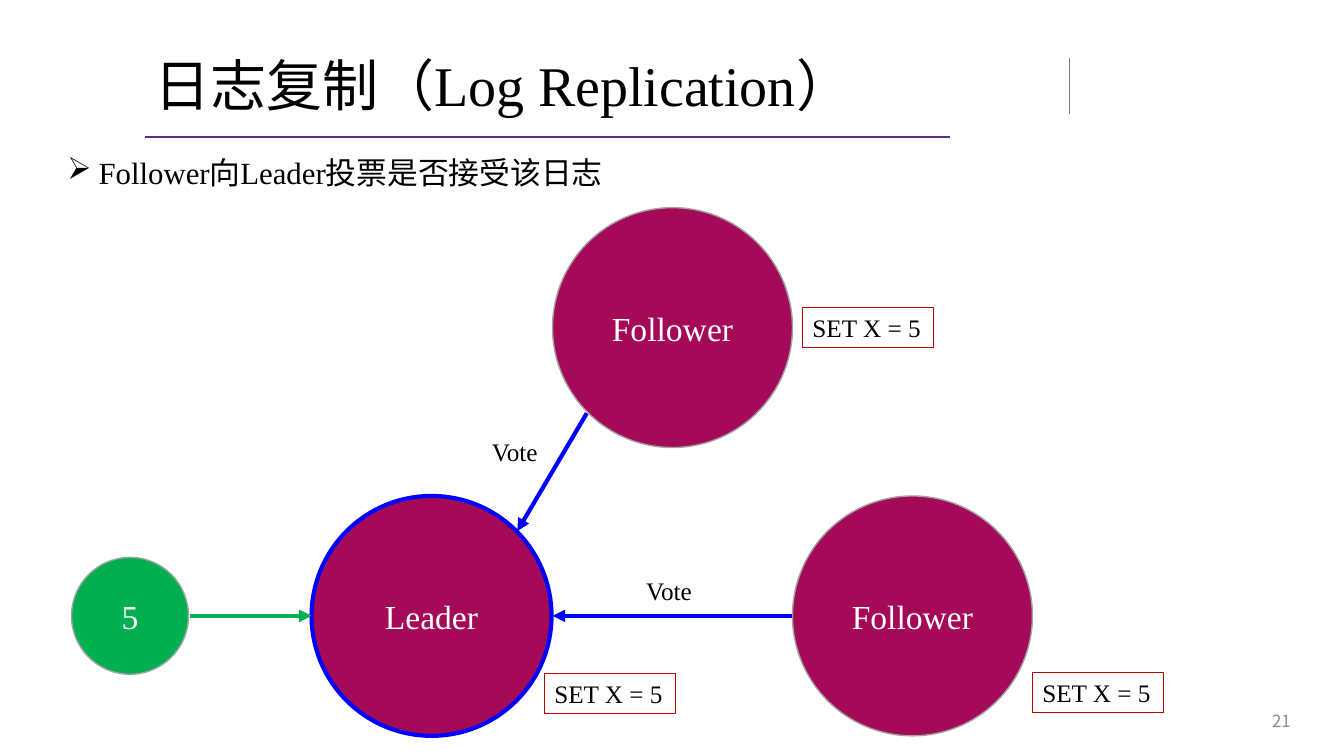
from dataclasses import dataclass

from lxml import etree
from pptx import Presentation
from pptx.dml.color import RGBColor
from pptx.enum.shapes import MSO_CONNECTOR, MSO_SHAPE
from pptx.enum.text import MSO_ANCHOR, MSO_AUTO_SIZE, PP_ALIGN
from pptx.oxml.ns import qn
from pptx.util import Inches, Pt

STRAIGHT = MSO_CONNECTOR.STRAIGHT
OVAL = MSO_SHAPE.OVAL
RECTANGLE = MSO_SHAPE.RECTANGLE
MIDDLE = MSO_ANCHOR.MIDDLE
LEFT, CENTER, RIGHT = PP_ALIGN.LEFT, PP_ALIGN.CENTER, PP_ALIGN.RIGHT
NO_AUTOFIT = MSO_AUTO_SIZE.NONE
TITLE_ONLY = 5


@dataclass(frozen=True)
class Theme:
    font: str = "Times New Roman"
    number_font: str = "Noto Sans CJK SC"
    text: str = "000000"
    light: str = "FFFFFF"
    node: str = "A40A57"
    value: str = "00B050"
    outline: str = "A3A3A3"
    vote: str = "0000FF"
    entry: str = "C00000"
    underline: str = "5C307E"
    divider: str = "808080"
    number: str = "8C8C8C"
    title_size: int = 40
    node_size: int = 24
    body_size: int = 22
    label_size: int = 18
    number_size: int = 12


THEME = Theme()
NODE_SIZE = 2.38
VALUE_SIZE = 1.16
ROW_CENTER = 6.11


def color(value):
    return RGBColor.from_string(value)


def write(shape, text, size, font_color=THEME.text, align=LEFT, font=THEME.font):
    paragraph = shape.text_frame.paragraphs[0]
    paragraph.text = text
    paragraph.alignment = align
    paragraph.font.name = font
    paragraph.font.size = Pt(size)
    paragraph.font.color.rgb = color(font_color)
    return paragraph


def add_title(slide, text):
    title = slide.shapes.title
    title.left, title.top = Inches(1.43), Inches(0.4)
    title.width, title.height = Inches(8.99), Inches(0.96)
    title.text_frame.auto_size = NO_AUTOFIT
    title.text_frame.vertical_anchor = MIDDLE
    paragraph = write(title, text, THEME.title_size)
    paragraph.line_spacing = 0.9


def add_text(slide, text, left, top, width, height, size=THEME.label_size, **style):
    box = slide.shapes.add_textbox(
        Inches(left), Inches(top), Inches(width), Inches(height)
    )
    box.text_frame.word_wrap = True
    write(box, text, size, **style)
    return box


def add_bullet(slide, text):
    box = add_text(slide, "", 0.57, 1.48, 5.61, 0.47)
    properties = box.text_frame.paragraphs[0]._p.get_or_add_pPr()
    properties.set("marL", str(Inches(0.31)))
    properties.set("indent", str(Inches(-0.31)))
    bullet = etree.Element(qn("a:buChar"), char="➢")
    properties.insert_element_before(bullet, "a:tabLst", "a:defRPr", "a:extLst")
    write(box, text, THEME.body_size)


def add_circle(slide, text, center_x, center_y, size=NODE_SIZE, fill=THEME.node,
               outline=THEME.outline, weight=1):
    circle = slide.shapes.add_shape(
        OVAL, Inches(center_x - size / 2), Inches(center_y - size / 2),
        Inches(size), Inches(size)
    )
    circle.shadow.inherit = False
    circle.fill.solid()
    circle.fill.fore_color.rgb = color(fill)
    circle.line.color.rgb = color(outline)
    circle.line.width = Pt(weight)
    circle.text_frame.vertical_anchor = MIDDLE
    write(circle, text, THEME.node_size, THEME.light, CENTER)


def add_log_entry(slide, left, top):
    entry = slide.shapes.add_shape(
        RECTANGLE, Inches(left), Inches(top), Inches(1.3), Inches(0.4)
    )
    entry.shadow.inherit = False
    entry.fill.background()
    entry.line.color.rgb = color(THEME.entry)
    entry.line.width = Pt(0.75)
    entry.text_frame.word_wrap = False
    entry.text_frame.vertical_anchor = MIDDLE
    write(entry, "SET X = 5", THEME.label_size)


def add_line(slide, start, end, line_color, weight, arrow=False):
    connector = slide.shapes.add_connector(
        STRAIGHT, *(Inches(value) for value in (*start, *end))
    )
    connector.line.color.rgb = color(line_color)
    connector.line.width = Pt(weight)
    if arrow:
        line = connector.line._get_or_add_ln()
        etree.SubElement(line, qn("a:tailEnd"), type="triangle")
    etree.SubElement(connector._element.spPr, qn("a:effectLst"))


def main():
    presentation = Presentation()
    presentation.slide_width = Inches(13.33)
    presentation.slide_height = Inches(7.5)
    slide = presentation.slides.add_slide(presentation.slide_layouts[TITLE_ONLY])

    add_line(slide, (1.44, 1.36), (9.42, 1.36), THEME.underline, 1.5)
    add_line(slide, (10.61, 0.58), (10.61, 1.13), THEME.divider, 1)
    add_title(slide, "日志复制（Log Replication）")
    number = add_text(slide, "21", 9.9, 6.95, 3, 0.4, THEME.number_size,
                      font_color=THEME.number, align=RIGHT, font=THEME.number_font)
    number.text_frame.vertical_anchor = MIDDLE

    add_circle(slide, "Follower", 6.67, 3.25)
    add_circle(slide, "Follower", 9.05, ROW_CENTER)
    add_circle(slide, "Leader", 4.28, ROW_CENTER, outline=THEME.vote, weight=3)
    add_bullet(slide, "Follower向Leader投票是否接受该日志")
    add_circle(slide, "5", 1.29, ROW_CENTER, VALUE_SIZE, THEME.value)

    add_line(slide, (1.88, ROW_CENTER), (3.09, ROW_CENTER), THEME.value, 3, True)
    for left, top in ((5.4, 6.68), (10.24, 6.67), (7.96, 3.05)):
        add_log_entry(slide, left, top)
    add_line(slide, (5.82, 4.1), (5.13, 5.27), THEME.vote, 3, True)
    add_line(slide, (7.86, ROW_CENTER), (5.48, ROW_CENTER), THEME.vote, 3, True)
    for left, top in ((4.78, 4.28), (6.31, 5.66)):
        add_text(slide, "Vote", left, top, 0.71, 0.4)

    presentation.save("out.pptx")


if __name__ == "__main__":
    main()
